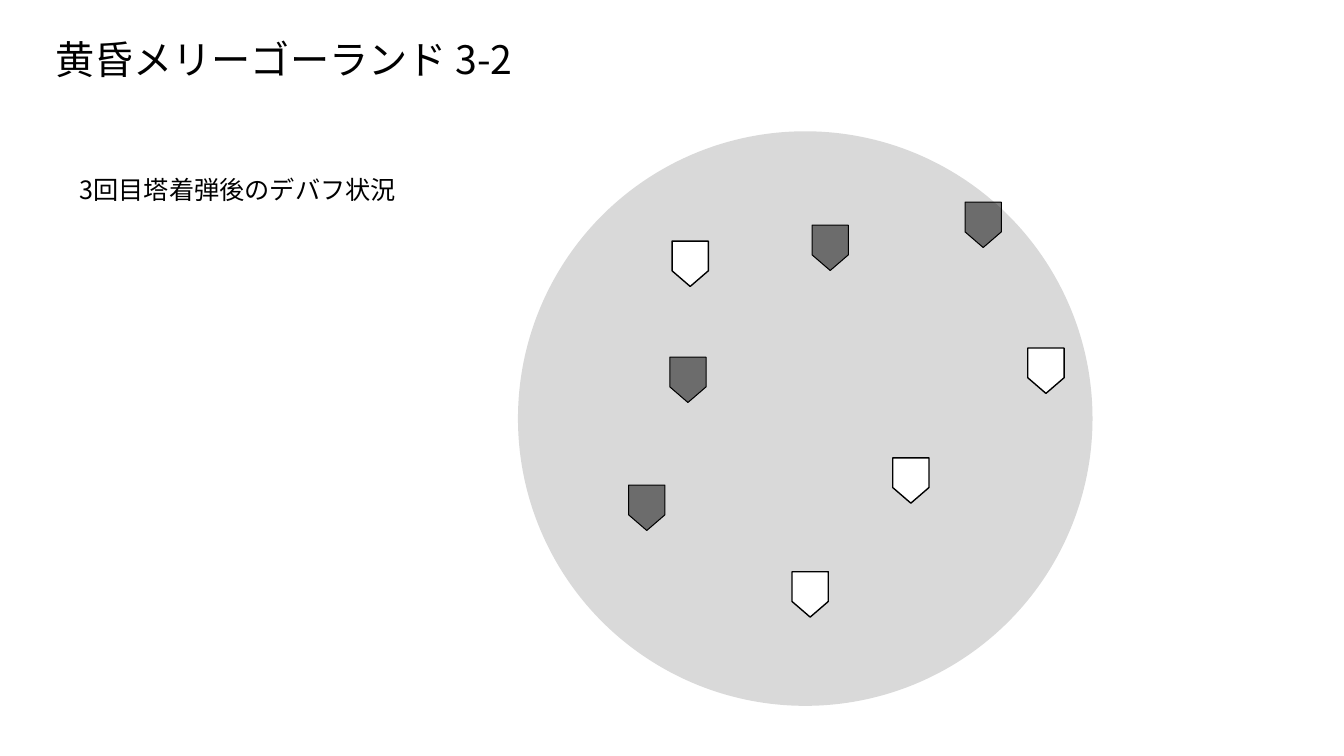
from lxml import etree
from pptx import Presentation
from pptx.dml.color import RGBColor
from pptx.enum.shapes import MSO_SHAPE
from pptx.oxml.ns import qn
from pptx.util import Pt

ELLIPSE = MSO_SHAPE.OVAL
PENTAGON = MSO_SHAPE.PENTAGON
FONT = "Noto Sans CJK SC"
BLACK = "000000"
WHITE = "FFFFFF"
ARENA_GRAY = "D9D9D9"
MARKER_LENGTH = 32.4
MARKER_WIDTH = 25.9

LIGHT_MARKERS = [(123, 94.6), (280.6, 249.4), (377.1, 171), (208.7, 330.8)]
DARK_MARKERS = [(223, 83.2), (121.4, 177.5), (332.3, 66.8), (92, 268.9)]


def color(hex_string):
    return RGBColor.from_string(hex_string)


def add_text(page, box, text, size, inset_y, line_spacing=1.0):
    frame = page.shapes.add_textbox(*map(Pt, box)).text_frame
    frame.word_wrap = True
    frame.margin_top = frame.margin_bottom = Pt(inset_y)
    para = frame.paragraphs[0]
    para.text = text
    para.line_spacing = line_spacing
    font = para.font
    font.size = Pt(size)
    font.color.rgb = color(BLACK)
    font.name = FONT
    defaults = para._p.pPr.find(qn("a:defRPr"))
    etree.SubElement(defaults, qn("a:ea")).set("typeface", FONT)


def add_filled(page, kind, box, fill):
    shape = page.shapes.add_shape(kind, *map(Pt, box))
    shape.shadow.inherit = False
    shape.fill.solid()
    shape.fill.fore_color.rgb = color(fill)
    shape.line.fill.background()
    return shape


def add_marker(page, center_x, center_y, fill, line_width):
    box = (center_x - MARKER_LENGTH / 2, center_y - MARKER_WIDTH / 2,
           MARKER_LENGTH, MARKER_WIDTH)
    marker = add_filled(page, PENTAGON, box, fill)
    marker.rotation = 90
    marker.adjustments[0] = 0.43
    marker.line.color.rgb = color(BLACK)
    marker.line.width = Pt(line_width)
    return marker


def make_half_transparent(shape):
    tone = shape._element.spPr.find(qn("a:solidFill"))[0]
    etree.SubElement(tone, qn("a:alpha")).set("val", "50000")


def add_arena(page, box):
    left, top = box[:2]
    add_filled(page, ELLIPSE, box, ARENA_GRAY)
    for x, y in LIGHT_MARKERS:
        add_marker(page, left + x, top + y, WHITE, 1)
    for x, y in DARK_MARKERS:
        make_half_transparent(add_marker(page, left + x, top + y, BLACK, 0.75))


def main():
    deck = Presentation()
    deck.slide_width, deck.slide_height = Pt(960), Pt(540)
    page = deck.slides.add_slide(deck.slide_layouts[6])
    add_text(page, (32.4, 21.6, 894.2, 60.5), "黄昏メリーゴーランド 3-2", 28, 7.2, 0.9)
    add_arena(page, (370, 93.8, 410.4, 410.4))
    add_text(page, (49.7, 121, 262.8, 28.8), "3回目塔着弾後のデバフ状況", 18, 3.6)
    deck.save("out.pptx")


if __name__ == "__main__":
    main()
